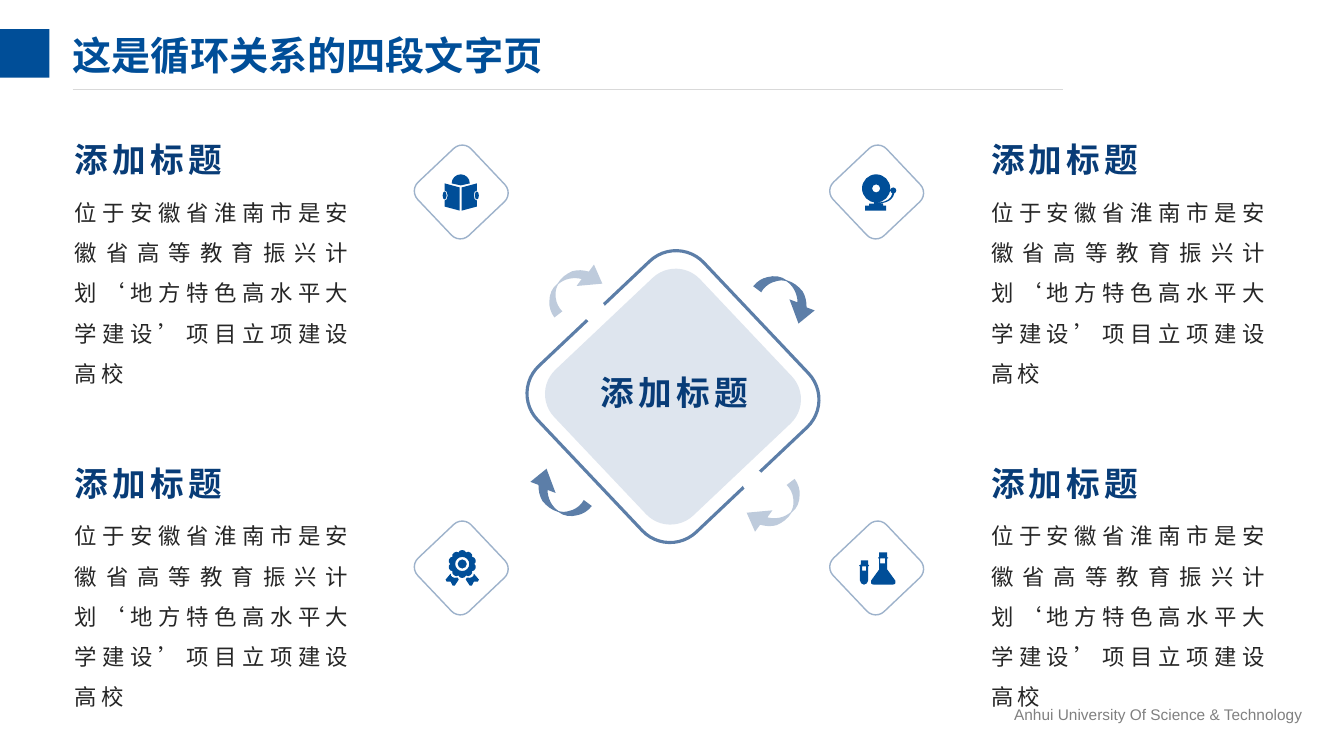
import math
from lxml import etree
from pptx import Presentation
from pptx.dml.color import RGBColor
from pptx.enum.shapes import MSO_CONNECTOR, MSO_SHAPE
from pptx.enum.text import MSO_ANCHOR, MSO_AUTO_SIZE, PP_ALIGN
from pptx.oxml.ns import qn
from pptx.util import Pt

PX = 9144
RECT, ROUND, OVAL = MSO_SHAPE.RECTANGLE, MSO_SHAPE.ROUNDED_RECTANGLE, MSO_SHAPE.OVAL
LEFT, JUSTIFY = PP_ALIGN.LEFT, PP_ALIGN.JUSTIFY
TOP, MIDDLE = MSO_ANCHOR.TOP, MSO_ANCHOR.MIDDLE
CJK = "Noto Sans CJK SC"
TILT = 46.6
COLORS = {
    "brand": "004E98", "heading": "083C77", "body": "262626", "footer": "808080",
    "rule": "D9D9D9", "panel": "DEE5EE", "ring": "5C7EA8", "tile": "9DB2CB",
    "pale": "BECBDC", "white": "FFFFFF",
}
HEADING = "添加标题"
BODY = "位于安徽省淮南市是安徽省高等教育振兴计划‘地方特色高水平大学建设’项目立项建设高校"
ARROW = [
    (61, 34), (53, 31), [(53, 25), (52, 20), (49, 15)], [(45, 10), (40, 6), (33, 4)],
    [(28, 0), (21, -1), (14, 1)], [(9, 2), (4, 5), (0, 10)], (8, 16),
    [(9, 15), (9, 14), (10, 13)], [(13, 9), (18, 6), (23, 5)], [(26, 4), (30, 4), (33, 5)],
    [(36, 7), (39, 10), (41, 14)], [(43, 18), (44, 22), (44, 26)], (36, 23), (45, 47), (61, 34)]


def px(n):
    return round(n * PX)


def color(name):
    return RGBColor.from_string(COLORS[name])


def paint(sp, fill=None, line=None, weight=1):
    sp.shadow.inherit = False
    if fill:
        sp.fill.solid()
        sp.fill.fore_color.rgb = color(fill)
    else:
        sp.fill.background()
    if line:
        sp.line.color.rgb = color(line)
        sp.line.width = Pt(weight)
    else:
        sp.line.fill.background()


def add_block(s, kind, x, y, w, h, rotation=0, **style):
    sp = s.shapes.add_shape(kind, px(x), px(y), px(w), px(h))
    sp.rotation = rotation
    paint(sp, **style)


def add_text(s, text, x, y, w, h, size=16, font=CJK, fill="body", bold=False, align=LEFT,
             anchor=TOP, spacing=None, tracking=0, inset=(0, 0), wrap=True, grow=True):
    sp = s.shapes.add_textbox(px(x), px(y), px(w), px(h))
    tf = sp.text_frame
    tf.word_wrap = wrap
    tf.auto_size = MSO_AUTO_SIZE.SHAPE_TO_FIT_TEXT if grow else MSO_AUTO_SIZE.NONE
    tf.vertical_anchor = anchor
    tf.margin_left = tf.margin_right = px(inset[0])
    tf.margin_top = tf.margin_bottom = px(inset[1])
    p = tf.paragraphs[0]
    p.alignment = align
    p.line_spacing = spacing
    r = p.add_run()
    r.text = text
    r.font.size, r.font.name, r.font.bold = Pt(size), font, bold
    r.font.color.rgb = color(fill)
    props = r.font._element
    props.set("lang", "zh-CN")
    if tracking:
        props.set("spc", str(tracking * 100))
    ea = etree.Element(qn("a:ea"), typeface=CJK)
    props.find(qn("a:latin")).addnext(ea)


def is_curve(segment):
    return isinstance(segment, list)


def flatten(contour):
    points = []
    for segment in contour:
        points += segment if is_curve(segment) else [segment]
    return [(px(x), px(y)) for x, y in points]


def add_outline(s, contours, x, y, fill, rotation=0):
    builder = s.shapes.build_freeform(*flatten(contours[0])[0], scale=1.0)
    for i, contour in enumerate(contours):
        start, *points = flatten(contour)
        if i:
            builder.move_to(*start)
        builder.add_line_segments(points, close=False)
        builder.add_line_segments([start], close=True)
    sp = builder.convert_to_shape(px(x), px(y))
    steps = iter(list(sp._element.iter(qn("a:lnTo"))))
    for contour in contours:
        for segment in contour[1:]:
            step = next(steps)
            if is_curve(segment):
                curve = etree.Element(qn("a:cubicBezTo"))
                step.addprevious(curve)
                for control in (step, next(steps), next(steps)):
                    curve.append(control[0])
                    control.getparent().remove(control)
        next(steps)
    sp.rotation = rotation
    paint(sp, fill)


def ellipse(cx, cy, rx, ry):
    unit = [(1, 0), [(1, .55), (.55, 1), (0, 1)], [(-.55, 1), (-1, .55), (-1, 0)],
            [(-1, -.55), (-.55, -1), (0, -1)], [(.55, -1), (1, -.55), (1, 0)]]

    def place(point):
        return cx + rx * point[0], cy + ry * point[1]

    return [[place(p) for p in seg] if is_curve(seg) else place(seg) for seg in unit]


def box(x1, y1, x2, y2):
    return [(x1, y1), (x2, y1), (x2, y2), (x1, y2)]


def mirror(contour, width):
    return [[(width - x, y) for x, y in seg] if is_curve(seg) else (width - seg[0], seg[1])
            for seg in contour]


def book():
    page = [(2, 9), (17, 13), (17, 36), (2, 32), (2, 26),
            [(4, 26), (5, 24), (5, 21)], [(5, 18), (4, 16), (2, 16)]]
    ear = ellipse(2, 21, 2, 4)
    head = [(9, 9), [(9, 4), (13, 0), (18, 0)], [(23, 0), (27, 4), (27, 9)], (18, 11)]
    return [page, mirror(page, 36), ear, mirror(ear, 36), head]


def bell():
    base = [(12, 28), (12, 29), (7, 29), (7, 31), (3, 31), (3, 36),
            (24, 36), (24, 31), (21, 31), (21, 29), (17, 29), (17, 28)]
    arm = [(30, 19), [(29, 24), (25, 27), (17, 28)], (17, 29), [(27, 28), (31, 24), (32, 19)]]
    return [ellipse(14, 14, 14, 14), ellipse(14, 14, 4, 4), base, arm, ellipse(31, 16, 3, 3)]


def medal():
    def polar(radius, degrees):
        a = math.radians(degrees)
        return 16.5 + radius * math.sin(a), 13.5 - radius * math.cos(a)

    rosette = [polar(12, -18)]
    for peak in range(0, 360, 36):
        rosette.append([polar(15, peak - 12), polar(15, peak + 12), polar(12, peak + 18)])
    ribbon = [(5, 23), [(5, 26), (7, 28), (12, 27)], (13, 29), (9, 35), (7, 35), (5, 31),
              (1, 31), (0, 29)]
    return [rosette, ellipse(16.5, 13.5, 7, 7), ellipse(16.5, 13.5, 4.5, 4.5),
            ribbon, mirror(ribbon, 33)]


def flasks():
    flask = [(20, 0), (28, 0), (28, 5), (29, 5), (29, 6), (28, 6), (28, 17), (36, 28),
             [(37, 30), (36, 32), (33, 32)], (15, 32), [(12, 32), (11, 30), (12, 28)],
             (20, 17), (20, 6), (19, 6), (19, 5), (20, 5)]
    tube = [(2, 8), (9, 8), (9, 12), (10, 13), (9, 14), (9, 28),
            [(9, 30), (7, 32), (5, 32)], [(3, 32), (1, 30), (1, 28)],
            (1, 14), (0, 13), (2, 12)]
    return [flask, box(21, 6, 26, 11), tube, box(3, 14, 7, 18)]


def draw_header(s, x, y, w):
    add_block(s, RECT, x - 74, y + 8, 51, 48, fill="brand")
    rule = s.shapes.add_connector(MSO_CONNECTOR.STRAIGHT, px(x), px(y + 68), px(x + w), px(y + 68))
    rule.line.color.rgb = color("rule")
    rule.line.width = Pt(0.5)
    etree.SubElement(rule._element.spPr, qn("a:effectLst"))
    add_text(s, "这是循环关系的四段文字页", x, y, 951, 73, size=28, font="Montserrat",
             fill="brand", bold=True, anchor=MIDDLE, spacing=0.9, grow=False)


def draw_footer(s, x, y, w, h):
    add_text(s, "Anhui University Of Science & Technology", x, y, w, h, size=11, font="Arial",
             fill="footer", inset=(10, 5), wrap=False)


def draw_cycle(s, x, y, size):
    add_block(s, ROUND, x + 14, y + 14, size - 28, size - 28, TILT, fill="panel")
    add_text(s, HEADING, x + 42, y + 89, 162, 40, size=24, fill="heading", bold=True, tracking=3)
    add_block(s, ROUND, x, y, size, size, TILT, line="ring", weight=2.25)
    for dx, dy in [(24, 17), (182, 186)]:
        add_block(s, OVAL, x + dx, y + dy, 23, 23, fill="white")
    for dx, dy, rotation, fill in [(193, -6, 0, "ring"), (-28, 186, 180, "ring"),
                                   (183, 198, 105.3, "pale"), (-14, -14, 285.3, "pale")]:
        add_outline(s, [ARROW], x + dx, y + dy, fill, rotation)


def draw_tile(s, x, y, size, icon, dx, dy):
    add_block(s, ROUND, x, y, size, size, TILT, line="tile")
    add_outline(s, icon, x + dx, y + dy, "brand")


def draw_note(s, x, y, w):
    add_text(s, HEADING, x, y, 151, 40, size=24, fill="heading", bold=True, tracking=3)
    add_text(s, BODY, x, y + 46, w, 157, align=JUSTIFY, spacing=1.5, tracking=3)


def main():
    prs = Presentation()
    prs.slide_width, prs.slide_height = px(1333), px(750)
    s = prs.slides.add_slide(prs.slide_layouts[6])
    draw_footer(s, 996, 695, 314, 29)
    draw_header(s, 72, 21, 982)
    draw_cycle(s, 554, 280, 227)
    for x, y, icon, dx, dy in [(421, 154, book(), 18, 19), (833, 154, bell(), 22, 19),
                               (421, 527, medal(), 21, 19), (833, 527, flasks(), 19, 21)]:
        draw_tile(s, x, y, 73, icon, dx, dy)
    for y in (138, 459):
        for x in (74, 983):
            draw_note(s, x, y, 276)
    prs.save("out.pptx")


if __name__ == "__main__":
    main()
